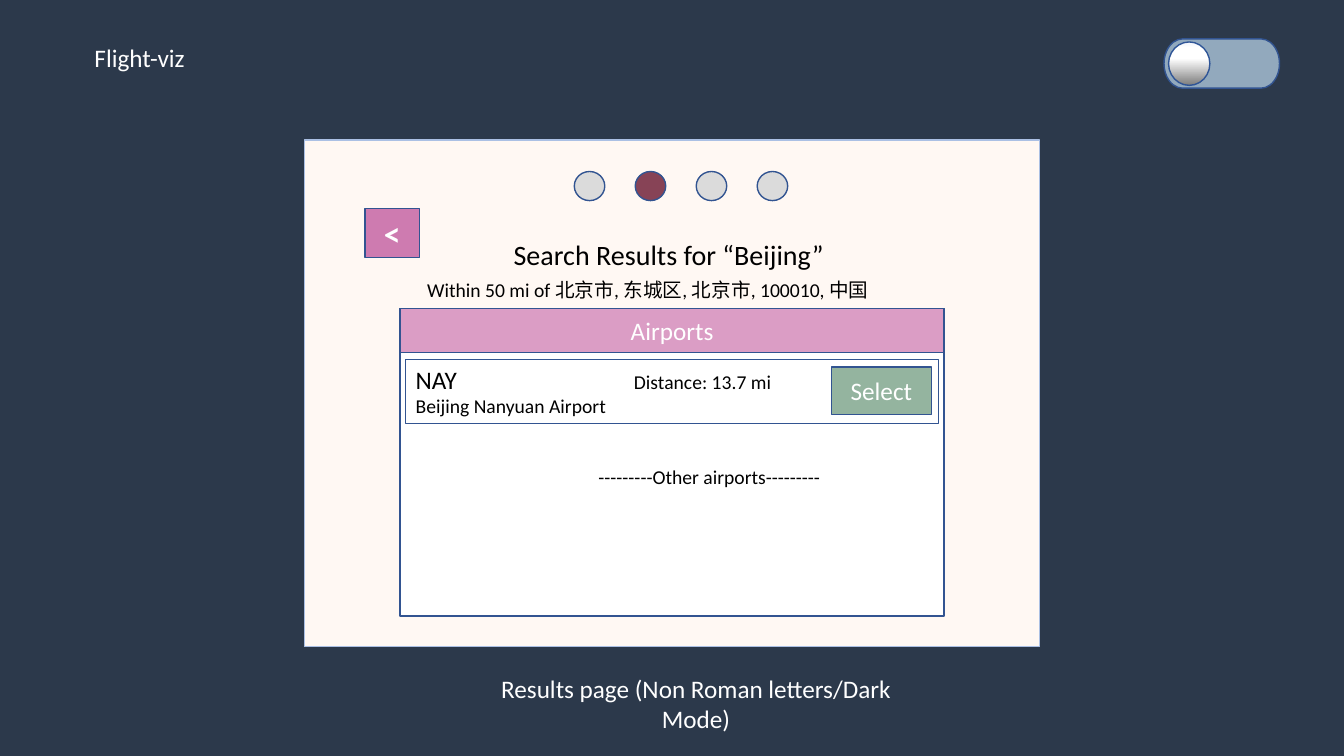
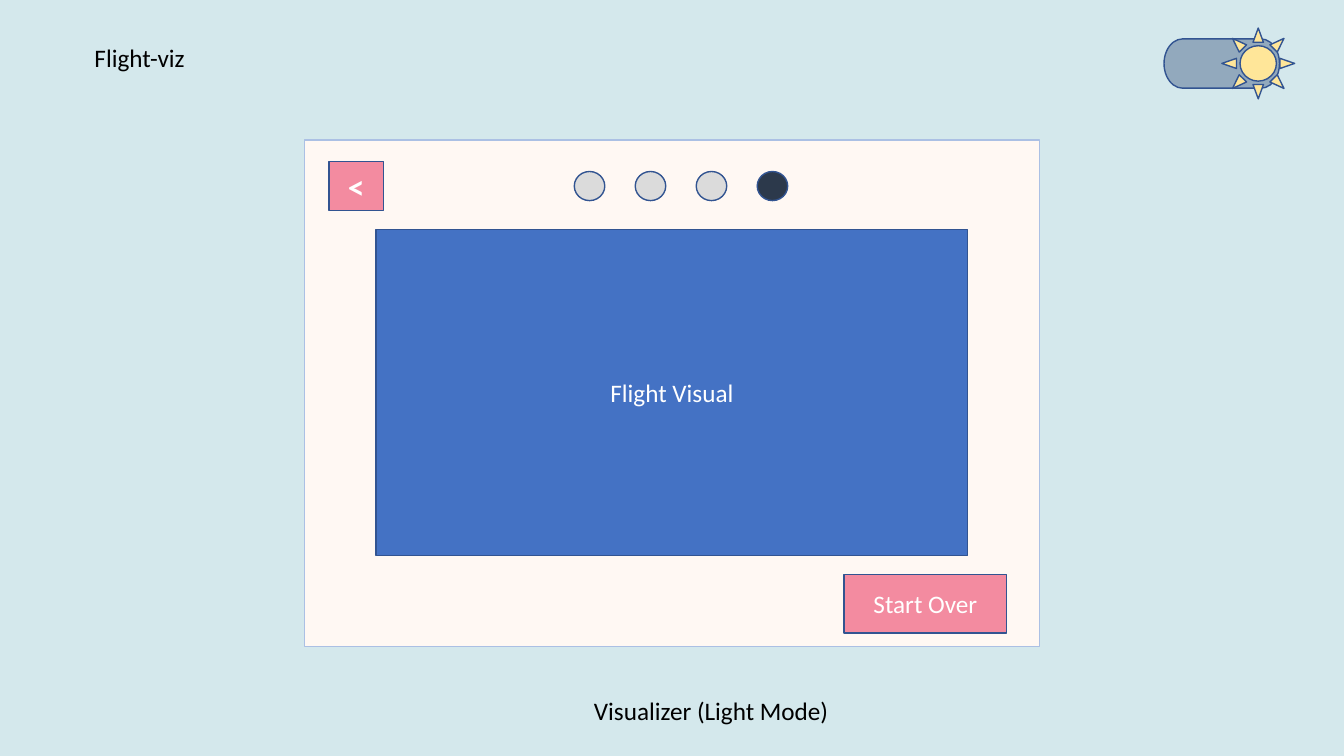
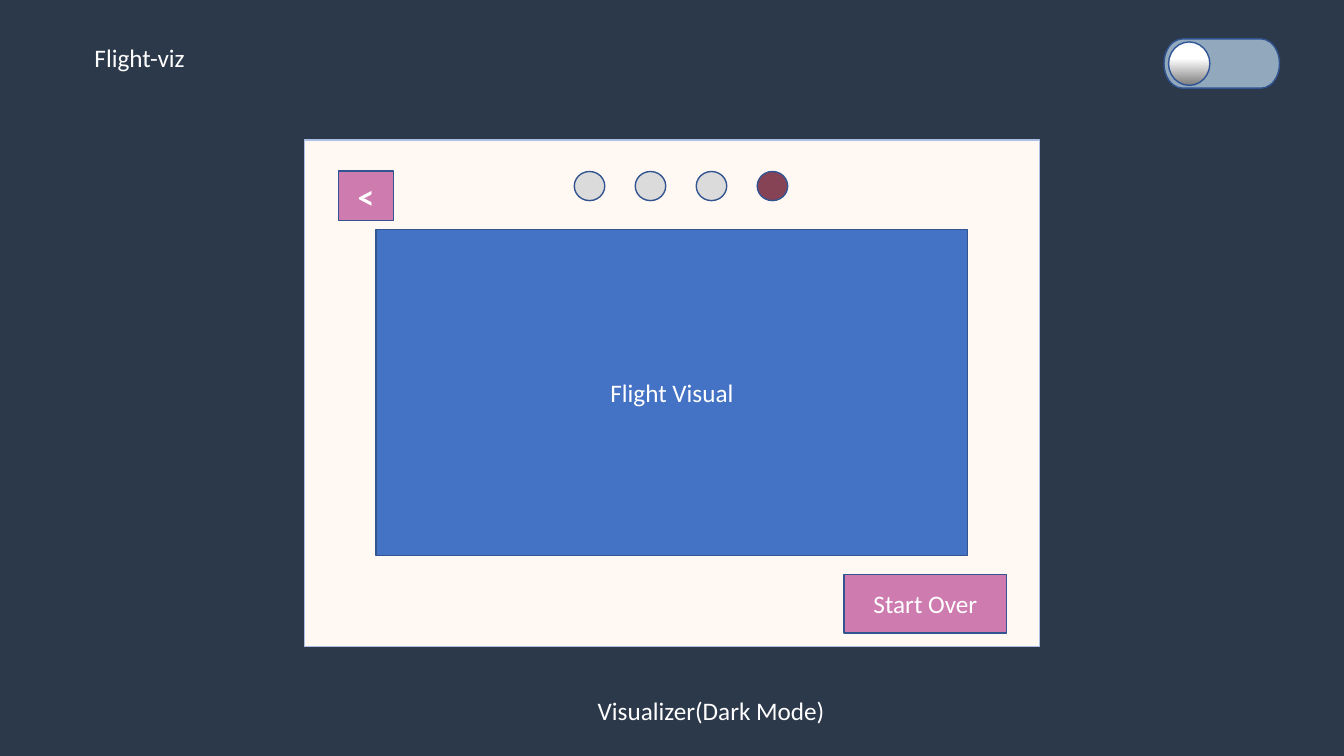
from copy import deepcopy

from pptx import Presentation
from pptx import util as u
from pptx.dml.color import RGBColor
from pptx.enum import shapes, text
from pptx.oxml import ns

COLORS = {
    "navy": "2C394B", "sky": "D4E8EC", "cream": "FFF8F3", "frame": "ABC0E4",
    "outline": "325491", "rim": "2F5597", "white": "FFFFFF", "black": "000000",
    "idle": "DBDBDB", "wine": "874356", "orchid": "CE7BB0", "rose": "F38BA0",
    "lilac": "DB9DC5", "sage": "94B49F", "steel": "92A9BD", "blue": "4472C4",
    "sun": "FFE699", "pearl": "F6F8FC", "gray": "7C7C7C",
}
MODES = {
    "dark": {"back": "navy", "ink": "white", "accent": "orchid", "active": "wine"},
    "light": {"back": "sky", "ink": "black", "accent": "rose", "active": "navy"},
}
MOON_STOPS = [(0.06, "pearl"), (0.14, "white"), (0.38, "white"), (1, "gray")]
KIND = shapes.MSO_SHAPE
CENTER = text.PP_ALIGN.CENTER
LEFT = text.PP_ALIGN.LEFT
TOP = text.MSO_ANCHOR.TOP
MIDDLE = text.MSO_ANCHOR.MIDDLE


def rgb(name):
    """Return the named colour."""
    return RGBColor.from_string(COLORS[name])


class Wireframe:
    """Draws the app screens with one shared style."""

    font = "Calibri"

    def __init__(self):
        """Start a widescreen deck."""
        self.deck = Presentation()
        self.deck.slide_width = u.Pt(960)
        self.deck.slide_height = u.Pt(540)

    def screen(self, mode, step):
        """Add a page with title, theme switch, panel and progress dots."""
        self.mode = MODES[mode]
        self.page = self.deck.slides.add_slide(self.deck.slide_layouts[5])
        back = self.page.background.fill
        back.solid()
        back.fore_color.rgb = rgb(self.mode["back"])
        self.title("Flight-viz")
        self.shape(KIND.RECTANGLE, (217.5, 100, 525, 362), "cream", "frame")
        for index in range(4):
            fill = self.mode["active"] if index == step else "idle"
            place = (410.2 + index * 43.55, 122.5, 21.8, 20.8)
            self.shape(KIND.FLOWCHART_CONNECTOR, place, fill)
        self.shape(KIND.FLOWCHART_TERMINATOR, (831.5, 27.8, 82.5, 35.2), "steel")
        if mode == "light":
            self.shape(KIND.SUN, (872.8, 20, 52, 50.6), "sun")
        else:
            self.moon()

    def title(self, words):
        """Place the app name in the title placeholder."""
        box = self.page.shapes.title
        box.left, box.top, box.width, box.height = map(u.Pt, (60.3, 26.8, 89.5, 29))
        self.set_text(box, [(words, 18)], self.mode["ink"], LEFT, TOP)

    def shape(self, kind, place, fill=None, line="outline", weight=1):
        """Add an outlined preset shape."""
        shape = self.page.shapes.add_shape(kind, *map(u.Pt, place))
        shape.shadow.inherit = False
        if fill:
            shape.fill.solid()
            shape.fill.fore_color.rgb = rgb(fill)
        else:
            shape.fill.background()
        shape.line.color.rgb = rgb(line)
        shape.line.width = u.Pt(weight)
        return shape

    def moon(self):
        """Add the shaded knob of the dark switch."""
        place = (834.7, 30, 29.5, 31)
        knob = self.shape(KIND.FLOWCHART_CONNECTOR, place, "white", "rim")
        knob.fill.gradient()
        knob.fill.gradient_angle = 270
        stops = next(knob.element.iter(ns.qn("a:gsLst")))
        for stop in list(stops)[:2]:
            stops.append(deepcopy(stop))
        for stop, (position, color) in zip(knob.fill.gradient_stops, MOON_STOPS):
            stop.position = position
            stop.color.rgb = rgb(color)

    def set_text(self, box, lines, color, align=CENTER, anchor=MIDDLE, bold=False):
        """Fill a box with (words, size) lines."""
        frame = box.text_frame
        frame.word_wrap = True
        frame.auto_size = text.MSO_AUTO_SIZE.NONE
        frame.vertical_anchor = anchor
        for index, (words, size) in enumerate(lines):
            para = frame.add_paragraph() if index else frame.paragraphs[0]
            para.alignment = align
            span = para.add_run()
            span.text = words
            span.font.name = self.font
            span.font.size = u.Pt(size)
            span.font.bold = bold
            span.font.color.rgb = rgb(color)

    def label(self, words, place, size=14, color="black", align=CENTER):
        """Add plain text."""
        box = self.page.shapes.add_textbox(*map(u.Pt, place))
        self.set_text(box, [(words, size)], color, align, TOP)

    def caption(self, words, left=360, top=493.2, height=29):
        """Name the screen below the panel."""
        self.label(words, (left, top, 296, height), 18, self.mode["ink"])

    def block(self, words, place, fill, size=18, bold=False):
        """Add a filled rectangle with centred white text."""
        box = self.shape(KIND.RECTANGLE, place, fill)
        self.set_text(box, [(words, size)], "white", bold=bold)

    def back_button(self, left, top):
        """Add the button that returns to the previous screen."""
        self.block("<", (left, top, 39.1, 35.2), self.mode["accent"], 24, True)

    def results(self):
        """Add the search heading and the airport list."""
        self.label("Search Results for “Beijing” ", (301, 166.3, 358, 31.5), 20)
        self.label("Within 50 mi of 北京市, 东城区, 北京市, 100010, 中国 ",
                   (298, 195.2, 383, 24.3), align=LEFT)
        self.shape(KIND.RECTANGLE, (285.8, 220.3, 388.6, 219.7), "white")
        self.block("Airports", (285.8, 220.3, 388.6, 31.4), "lilac")
        row = self.shape(KIND.RECTANGLE, (289.8, 256.6, 380.5, 45.8), weight=0.75)
        self.set_text(row, [("NAY", 18), ("Beijing Nanyuan Airport", 14)],
                      "black", LEFT, TOP)
        self.label("Distance: 13.7 mi", (445.7, 260.8, 131, 24.3), align=LEFT)
        self.block("Select", (594, 262.3, 71.2, 33.8), "sage")
        self.label("---------Other airports---------", (362.2, 328.5, 289, 24.3))

    def visualizer(self):
        """Add the flight view and the restart button."""
        self.block("Flight Visual", (268.7, 164, 422.6, 232.9), "blue")
        self.block("Start Over", (603, 410.2, 116, 42), self.mode["accent"])


wireframe = Wireframe()

wireframe.screen("dark", 1)
wireframe.results()
wireframe.back_button(260.6, 148.9)
wireframe.caption("Results page (Non Roman letters/Dark Mode)", 349.2, 477.2, 51)

wireframe.screen("light", 3)
wireframe.visualizer()
wireframe.back_button(235, 115.2)
wireframe.caption("Visualizer (Light Mode)")

wireframe.screen("dark", 3)
wireframe.visualizer()
wireframe.back_button(241.8, 122.3)
wireframe.caption("Visualizer(Dark Mode)")

wireframe.deck.save("out.pptx")
